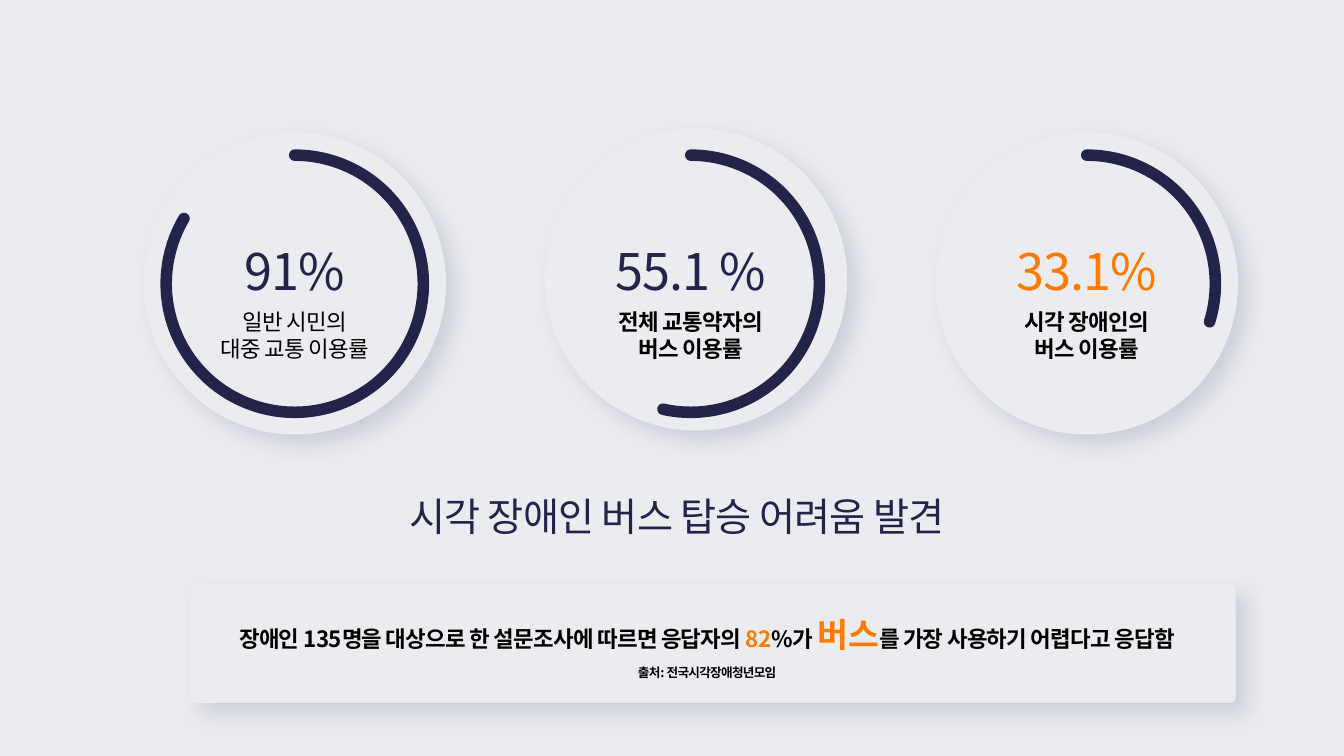
import pptx
import pptx.util
import pptx.dml.color
import pptx.enum.shapes
import pptx.enum.text
import pptx.oxml
import pptx.oxml.ns
from lxml import etree

Cm, Pt = pptx.util.Cm, pptx.util.Pt
RGBColor = pptx.dml.color.RGBColor
MSO_SHAPE = pptx.enum.shapes.MSO_SHAPE
PP_ALIGN = pptx.enum.text.PP_ALIGN
qn = pptx.oxml.ns.qn

PALE = RGBColor(0xEB, 0xEC, 0xF0)
NAVY = RGBColor(0x23, 0x24, 0x49)
ORANGE = RGBColor(0xFF, 0x7A, 0x00)
BLACK = RGBColor(0, 0, 0)
FONT = "Noto Sans CJK KR"
SHADOW = (
    f'<a:effectLst {pptx.oxml.ns.nsdecls("a")}>'
    f'<a:outerShdw blurRad="{Pt(15)}" dist="{Pt(10)}" dir="2700000" algn="tl" rotWithShape="0">'
    '<a:srgbClr val="ACB0C0"><a:alpha val="47000"/></a:srgbClr>'
    '</a:outerShdw></a:effectLst>'
)

prs = pptx.Presentation()
prs.slide_width, prs.slide_height = Cm(33.87), Cm(19.05)
s = prs.slides.add_slide(prs.slide_layouts[6])
s.background.fill.solid()
s.background.fill.fore_color.rgb = PALE


def add_raised(kind, left, top, width, height):
    """Add a background-coloured shape that stands out by its soft shadow."""
    sp = s.shapes.add_shape(kind, Cm(left), Cm(top), Cm(width), Cm(height))
    sp.fill.solid()
    sp.fill.fore_color.rgb = PALE
    sp.line.fill.background()
    sp._element.spPr.append(pptx.oxml.parse_xml(SHADOW))
    return sp


def add_text(left, top, width, height, lines, align=PP_ALIGN.CENTER, spc=-50):
    """Each line is (line pitch, space before, runs); a run is (text, size, colour, bold)."""
    tb = s.shapes.add_textbox(Cm(left), Cm(top), Cm(width), Cm(height))
    tf = tb.text_frame
    tf.margin_left = tf.margin_right = tf.margin_top = tf.margin_bottom = 0
    tf.word_wrap = False
    tf.auto_size = pptx.enum.text.MSO_AUTO_SIZE.SHAPE_TO_FIT_TEXT
    for i, (pitch, before, runs) in enumerate(lines):
        p = tf.add_paragraph() if i else tf.paragraphs[0]
        p.alignment = align
        p.line_spacing = Pt(pitch)
        p.space_before = Pt(before)
        for text, size, color, bold in runs:
            r = p.add_run()
            r.text = text
            r.font.size = Pt(size)
            r.font.bold = bold
            r.font.color.rgb = color
            r.font.name = FONT
            rPr = r.font._element
            rPr.set("spc", str(spc))
            etree.SubElement(rPr, qn("a:ea")).set("typeface", FONT)


# disc offset x and y, arc end in degrees, rate, its colour and width, caption, its bold and width
gauges = [
    (0, 0, 210.48, "91%", NAVY, 2.64, ("일반 시민의", "대중 교통 이용률"), False, 3.99),
    (0.13, -0.1, 102.48, "55.1 %", NAVY, 4.14, ("전체 교통약자의", "버스 이용률"), True, 3.86),
    (0, 0, 17.22, "33.1%", ORANGE, 3.84, ("시각 장애인의", "버스 이용률"), True, 3.33),
]
DISC, RING = 7.62, 6.48
for i, (dx, dy, end, rate, color, rate_w, caption, bold, caption_w) in enumerate(gauges):
    center = 7.43 + 9.98 * i
    add_raised(MSO_SHAPE.OVAL, center - DISC / 2 + dx, 3.33 + dy, DISC, DISC)

    arc = s.shapes.add_shape(MSO_SHAPE.ARC, Cm(center - RING / 2), Cm(3.91), Cm(RING), Cm(RING))
    arc.shadow.inherit = False
    arc.adjustments[0] = 270 * 0.6
    arc.adjustments[1] = end * 0.6
    arc.fill.background()
    arc.line.color.rgb = NAVY
    arc.line.width = Pt(8.25)
    arc.line._get_or_add_ln().set("cap", "rnd")

    add_text(center - rate_w / 2, 5.94, rate_w, 1.55,
             [(46, 0, [(rate, 36, color, False)])], spc=-70)
    add_text(center - caption_w / 2, 7.77, caption_w, 1.37,
             [(19.2, 0, [(line, 16, BLACK, bold)]) for line in caption])

add_text(10.31, 12.22, 14.99, 1.32,
         [(39, 0, [("시각 장애인 버스 탑승 어려움 발견", 28, NAVY, False)])], PP_ALIGN.LEFT)

panel = add_raised(MSO_SHAPE.ROUNDED_RECTANGLE, 4.8, 14.71, 26.34, 3)
panel.adjustments[0] = 0.04
finding = [
    ("장애인 135명을 대상으로 한 설문조사에 따르면 응답자의 ", 16, BLACK, True),
    ("82", 16, ORANGE, True),
    ("%가 ", 16, BLACK, True),
    ("버스", 24, ORANGE, True),
    ("를 가장 사용하기 어렵다고 응답함", 16, BLACK, True),
]
source = [("출처: 전국시각장애청년모임", 9, BLACK, True)]
add_text(5.26, 15.42, 25.12, 1.75, [(30, 0, finding), (11, 8, source)])

prs.save("out.pptx")
